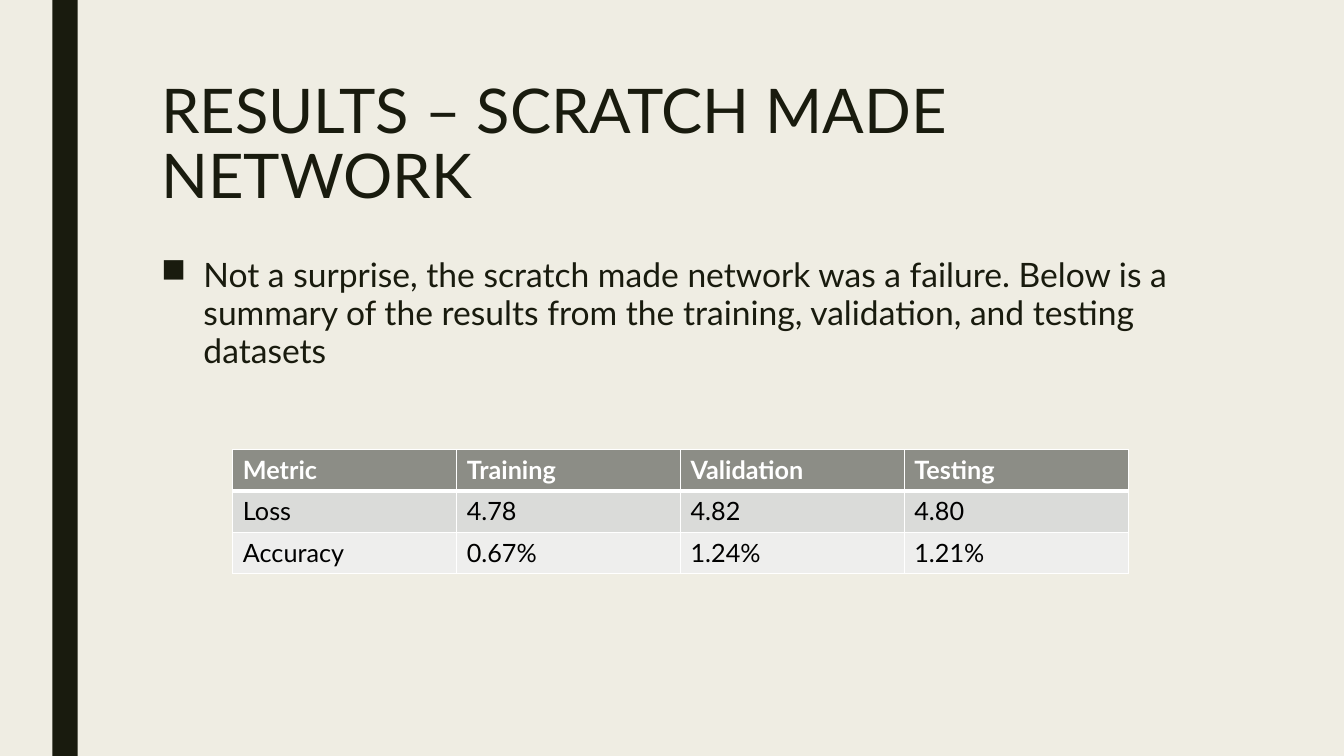
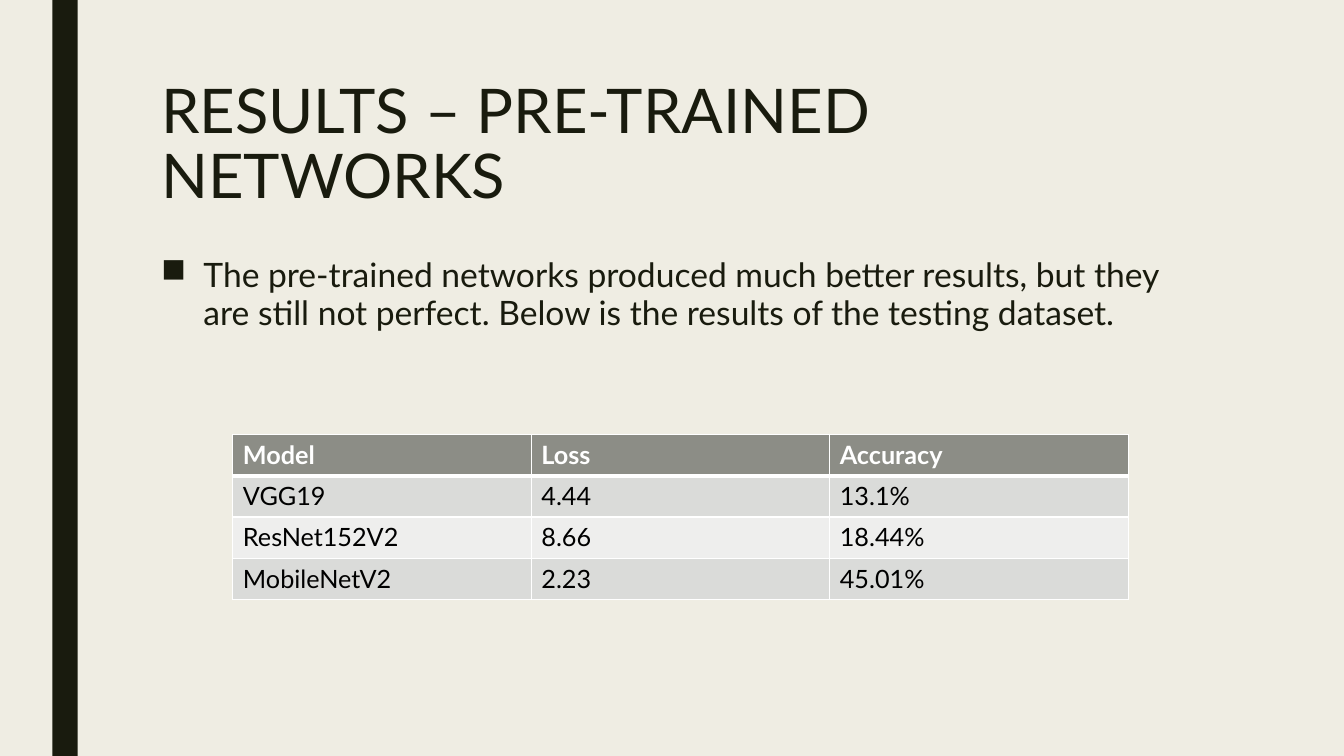
from lxml import etree
from pptx import Presentation
from pptx.dml.color import RGBColor
from pptx.enum import shapes, text
from pptx.oxml import ns
from pptx.util import Pt

PX = 9144
FONT = "Lato"
CREAM = RGBColor(0xEF, 0xED, 0xE3)
INK = RGBColor(0x19, 0x1B, 0x0E)
WHITE = RGBColor(0xFF, 0xFF, 0xFF)
BLACK = RGBColor(0x00, 0x00, 0x00)
HEADER = RGBColor(0x8C, 0x8D, 0x86)
STRIPES = (RGBColor(0xDA, 0xDB, 0xD9), RGBColor(0xEE, 0xEE, 0xED))
PAGE_WIDTH, PAGE_HEIGHT = 1333, 750
LEFT, WIDTH = 150, 1050
TABLE_LEFT, TABLE_WIDTH, ROW_HEIGHT = 231, 888, 41
INDENT = 42

RESULTS = [
    (
        "RESULTS – SCRATCH MADE NETWORK",
        "Not a surprise, the scratch made network was a failure. Below is a summary "
        "of the results from the training, validation, and testing datasets",
        446,
        [
            ("Metric", "Training", "Validation", "Testing"),
            ("Loss", "4.78", "4.82", "4.80"),
            ("Accuracy", "0.67%", "1.24%", "1.21%"),
        ],
    ),
    (
        "RESULTS – PRE-TRAINED NETWORKS",
        "The pre-trained networks produced much better results, but they are still "
        "not perfect. Below is the results of the testing dataset.",
        431,
        [
            ("Model", "Loss", "Accuracy"),
            ("VGG19", "4.44", "13.1%"),
            ("ResNet152V2", "8.66", "18.44%"),
            ("MobileNetV2", "2.23", "45.01%"),
        ],
    ),
]


def px(*lengths):
    """Turn px lengths into EMU."""
    return [length * PX for length in lengths]


def add_element(parent, tag, **attributes):
    """Append a DrawingML element and return it."""
    return etree.SubElement(parent, ns.qn(tag), attributes)


def write(frame, content, size, color, bold=False, spacing=None, bullet=None):
    """Write one formatted paragraph into a text frame."""
    para = frame.paragraphs[0]
    if spacing:
        para.line_spacing = spacing
    if bullet:
        properties = para._p.get_or_add_pPr()
        properties.set("marL", str(INDENT * PX))
        properties.set("indent", str(-INDENT * PX))
        add_element(properties, "a:buChar", char=bullet)
    span = para.add_run()
    span.text = content
    span.font.name = FONT
    span.font.size = Pt(size)
    span.font.bold = bold
    span.font.color.rgb = color


def add_text(page, top, height, content, **style):
    """Add a wrapped text box in the content column."""
    frame = page.shapes.add_textbox(*px(LEFT, top, WIDTH, height)).text_frame
    frame.word_wrap = True
    frame.vertical_anchor = text.MSO_ANCHOR.TOP
    write(frame, content, **style)


def add_band(page):
    """Add the dark vertical band."""
    band = page.shapes.add_shape(
        shapes.MSO_SHAPE.RECTANGLE, *px(52, 0, 25, PAGE_HEIGHT)
    )
    band.shadow.inherit = False
    band.fill.solid()
    band.fill.fore_color.rgb = INK
    band.line.fill.background()


def set_borders(cell, **widths):
    """Draw white cell borders with the given widths in points."""
    properties = cell._tc.get_or_add_tcPr()
    for side, width in widths.items():
        line = add_element(properties, f"a:ln{side}", w=str(Pt(width)))
        fill = add_element(line, "a:solidFill")
        add_element(fill, "a:srgbClr", val=str(WHITE))


def add_table(page, top, rows):
    """Add a striped table with a header row and equal columns."""
    columns = len(rows[0])
    size = px(TABLE_LEFT, top, TABLE_WIDTH, ROW_HEIGHT * len(rows))
    table = page.shapes.add_table(len(rows), columns, *size).table
    for column in table.columns:
        column.width = TABLE_WIDTH * PX // columns
    for r, values in enumerate(rows):
        table.rows[r].height = ROW_HEIGHT * PX
        header = r == 0
        for c, value in enumerate(values):
            cell = table.cell(r, c)
            set_borders(cell, L=1, R=1, T=3 if r == 1 else 1, B=3 if header else 1)
            cell.fill.solid()
            cell.fill.fore_color.rgb = HEADER if header else STRIPES[(r - 1) % 2]
            color = WHITE if header else BLACK
            write(cell.text_frame, value, size=18, color=color, bold=header)


def add_page(deck, title, summary, table_top, rows):
    """Add one results slide."""
    page = deck.slides.add_slide(deck.slide_layouts[6])
    page.background.fill.solid()
    page.background.fill.fore_color.rgb = CREAM
    add_band(page)
    add_text(page, 75, 162, title, size=44, color=INK, spacing=0.89)
    add_text(page, 250, 392, summary, size=24, color=INK, spacing=0.94, bullet="■")
    add_table(page, table_top, rows)


def main():
    """Build and save the deck."""
    deck = Presentation()
    deck.slide_width, deck.slide_height = px(PAGE_WIDTH, PAGE_HEIGHT)
    for result in RESULTS:
        add_page(deck, *result)
    deck.save("out.pptx")


if __name__ == "__main__":
    main()
